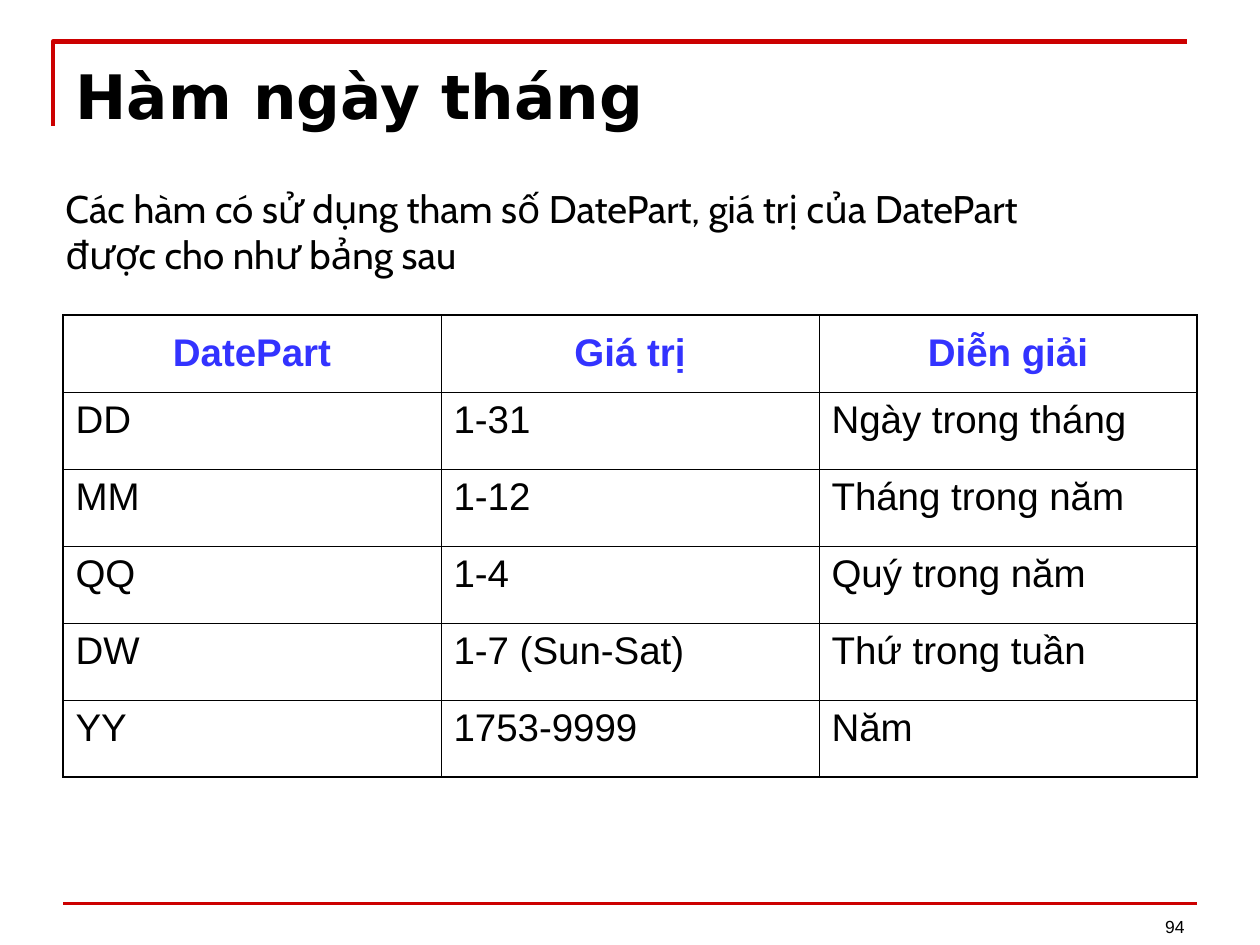
from lxml import etree
from pptx import Presentation
from pptx.dml.color import RGBColor
from pptx.enum.shapes import MSO_CONNECTOR
from pptx.enum.text import MSO_ANCHOR, PP_ALIGN
from pptx.oxml.ns import qn
from pptx.util import Inches, Pt

STRAIGHT = MSO_CONNECTOR.STRAIGHT
TOP, MIDDLE, BOTTOM = MSO_ANCHOR.TOP, MSO_ANCHOR.MIDDLE, MSO_ANCHOR.BOTTOM
LEFT, CENTER, RIGHT, JUSTIFY = PP_ALIGN.LEFT, PP_ALIGN.CENTER, PP_ALIGN.RIGHT, PP_ALIGN.JUSTIFY

RED = RGBColor.from_string("CC0000")
ROWS = [
    ("DatePart", "Giá trị", "Diễn giải"),
    ("DD", "1-31", "Ngày trong tháng"),
    ("MM", "1-12", "Tháng trong năm"),
    ("QQ", "1-4", "Quý trong năm"),
    ("DW", "1-7 (Sun-Sat)", "Thứ trong tuần"),
    ("YY", "1753-9999", "Năm"),
]
OUTER, INNER = 1.08, 0.45


def write(frame, text, size, font, color="000000", bold=False, align=LEFT):
    """Put one formatted run in the first paragraph of a text frame."""
    frame.word_wrap = True
    paragraph = frame.paragraphs[0]
    paragraph.alignment = align
    run = paragraph.add_run()
    run.text = text
    run.font.size = Pt(size)
    run.font.name = font
    run.font.bold = bold
    run.font.color.rgb = RGBColor.from_string(color)


def add_border(cell, side, width):
    border = etree.SubElement(cell._tc.get_or_add_tcPr(), qn(f"a:ln{side}"), w=str(Pt(width)))
    fill = etree.SubElement(border, qn("a:solidFill"))
    etree.SubElement(fill, qn("a:srgbClr"), val="000000")


prs = Presentation()
prs.slide_width, prs.slide_height = Inches(10), Inches(7.5)
slide = prs.slides.add_slide(prs.slide_layouts[5])
shapes = slide.shapes

# Red frame lines
outline = shapes.build_freeform(Inches(0.42), Inches(1))
outline.add_line_segments(
    [(Inches(0.42), Inches(0.33)), (Inches(9.42), Inches(0.33))], close=False)
corner = outline.convert_to_shape()
corner.shadow.inherit = False
corner.fill.background()
corner.line.color.rgb = RED
corner.line.width = Pt(2.5)

footer_rule = shapes.add_connector(
    STRAIGHT, Inches(0.5), Inches(7.17), Inches(9.5), Inches(7.17))
footer_rule.line.color.rgb = RED
footer_rule.line.width = Pt(2)
etree.SubElement(footer_rule._element.spPr, qn("a:effectLst"))

# Title, introduction and page number
title = shapes.title
title.left, title.top = Inches(0.5), Inches(0.39)
title.width, title.height = Inches(9), Inches(0.86)
title.text_frame.vertical_anchor = TOP
title.text_frame.margin_top = Inches(0.07)
write(title.text_frame, "Hàm ngày tháng", 35, "DejaVu Sans", bold=True)

intro = shapes.add_textbox(Inches(0.42), Inches(1.42), Inches(8.25), Inches(0.84))
write(intro.text_frame,
      "Các hàm có sử dụng tham số DatePart, giá trị của DatePart được cho như bảng sau",
      22, "Cabin")

page_number = shapes.add_textbox(Inches(7.17), Inches(6.99), Inches(2.33), Inches(0.5))
page_number.text_frame.vertical_anchor = BOTTOM
write(page_number.text_frame, "94", 10, "Arial", align=RIGHT)

# DatePart table
row_count, column_count = len(ROWS), len(ROWS[0])
table = shapes.add_table(row_count, column_count, Inches(0.5), Inches(2.5),
                         Inches(9), Inches(3.67)).table
table.horz_banding = False
for r, values in enumerate(ROWS):
    for c, value in enumerate(values):
        cell = table.cell(r, c)
        edges = {"L": c == 0, "R": c == column_count - 1,
                 "T": r == 0, "B": r == row_count - 1}
        for side, is_outer in edges.items():
            add_border(cell, side, OUTER if is_outer else INNER)
        cell.fill.background()
        if r == 0:
            cell.vertical_anchor = MIDDLE
            write(cell.text_frame, value, 22, "Arial", "3333FF", True, CENTER)
        else:
            write(cell.text_frame, value, 22, "Arial", align=JUSTIFY)

prs.save("out.pptx")
